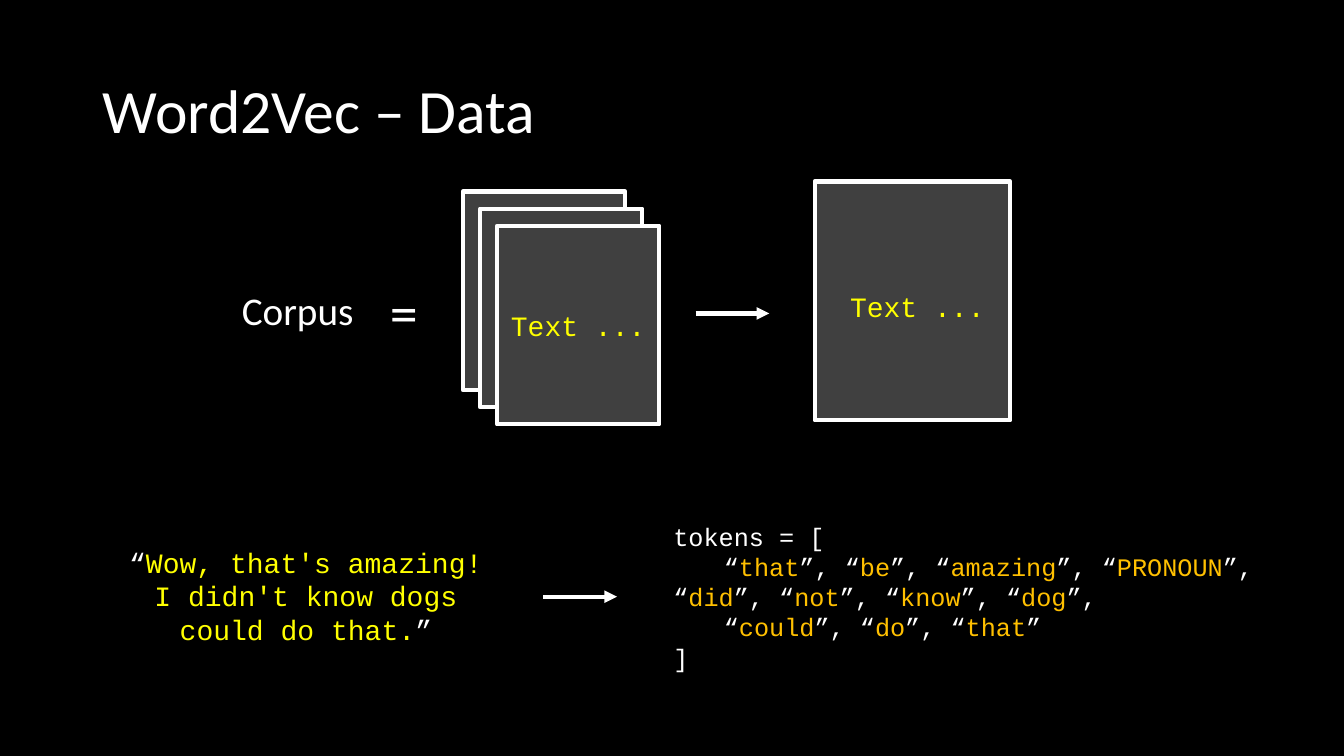
from dataclasses import dataclass

from pptx import Presentation, util as u
from pptx.dml.color import RGBColor
from pptx.enum import shapes, text
from pptx.oxml import ns
from lxml import etree

LEFT, MID = text.PP_ALIGN.LEFT, text.PP_ALIGN.CENTER


@dataclass(frozen=True)
class Theme:
    back: str = "000000"
    ink: str = "FFFFFF"
    card: str = "404040"
    quote: str = "FFFF00"
    token: str = "FFC000"
    sans: str = "Calibri"
    mono: str = "Courier New"
    head: int = 44
    sign: int = 40
    term: int = 28
    body: int = 20
    code: int = 18
    line: int = 3


def rgb(tone):
    return RGBColor.from_string(tone)


class Deck:
    def __init__(self, theme):
        self.t = theme
        self.prs = Presentation()
        self.prs.slide_width = u.Inches(13.33)
        self.prs.slide_height = u.Inches(7.5)
        self.page = self.prs.slides.add_slide(self.prs.slide_layouts[5])
        fill = self.page.background.fill
        fill.solid()
        fill.fore_color.rgb = rgb(theme.back)

    def words(self, frame, lines, size, face, tone, high=None, align=LEFT):
        """Fill a frame; parts between bars take the highlight colour."""
        frame.word_wrap = True
        for i, line in enumerate(lines):
            para = frame.paragraphs[0] if i == 0 else frame.add_paragraph()
            para.alignment = align
            para.font.size = u.Pt(size)
            para.font.name = face
            para.font.color.rgb = rgb(tone)
            for n, part in enumerate(line.split("|")):
                run = para.add_run()
                run.text = part
                if n % 2:
                    run.font.color.rgb = rgb(high)

    def title(self, line, *box):
        shape = self.page.shapes.title
        shape.left, shape.top, shape.width, shape.height = map(u.Inches, box)
        frame = shape.text_frame
        frame.auto_size = text.MSO_AUTO_SIZE.NONE
        frame.vertical_anchor = text.MSO_ANCHOR.MIDDLE
        self.words(frame, [line], self.t.head, self.t.sans, self.t.ink)
        frame.paragraphs[0].line_spacing = 0.9

    def label(self, box, lines, size, face, high=None, align=LEFT):
        shape = self.page.shapes.add_textbox(*map(u.Inches, box))
        self.words(shape.text_frame, lines, size, face, self.t.ink, high, align)

    def card(self, box, line=None, shift=0):
        shape = self.page.shapes.add_shape(
            shapes.MSO_SHAPE.RECTANGLE, *map(u.Inches, box))
        shape.shadow.inherit = False
        shape.fill.solid()
        shape.fill.fore_color.rgb = rgb(self.t.card)
        shape.line.color.rgb = rgb(self.t.ink)
        shape.line.width = u.Pt(self.t.line)
        if line:
            frame = shape.text_frame
            frame.margin_left = frame.margin_top = u.Inches(shift)
            frame.margin_right = frame.margin_bottom = 0
            frame.vertical_anchor = text.MSO_ANCHOR.MIDDLE
            self.words(frame, [line], self.t.body, self.t.mono,
                       self.t.quote, align=MID)

    def arrow(self, x, y, span=0.73):
        link = self.page.shapes.add_connector(
            shapes.MSO_CONNECTOR.STRAIGHT,
            *map(u.Inches, (x, y, x + span, y)))
        link.line.color.rgb = rgb(self.t.ink)
        link.line.width = u.Pt(self.t.line)
        props = link._element.spPr
        tip = etree.SubElement(props.find(ns.qn("a:ln")), ns.qn("a:tailEnd"))
        tip.set("type", "triangle")
        etree.SubElement(props, ns.qn("a:effectLst"))


def main():
    t = Theme()
    deck = Deck(t)
    deck.title("Word2Vec – Data", 0.92, 0.4, 11.5, 1.45)

    # Corpus: a stack of texts, then one text
    deck.label((2.3, 2.79, 1.61, 0.57), ["Corpus"], t.term, t.sans)
    deck.label((3.73, 2.7, 0.55, 0.77), ["="], t.sign, t.sans, align=MID)
    left, top, step = 4.59, 1.9, 0.17
    for i, line in enumerate((None, None, "Text ...")):
        deck.card((left + i * step, top + i * step, 1.61, 1.97), line)
    deck.arrow(6.9, 3.11)
    deck.card((8.08, 1.8, 1.94, 2.37), "Text ...", shift=0.1)

    # Sentence to tokens
    deck.label((1.15, 5.36, 3.77, 1.11),
               ["“|Wow, that's amazing! I didn't know dogs could do that.|”"],
               t.body, t.mono, t.quote, MID)
    deck.arrow(5.39, 5.92)
    deck.label((6.58, 5.12, 6.28, 1.62), [
        "tokens = [",
        "\t“|that|”, “|be|”, “|amazing|”, “|PRONOUN|”, "
        "\t“|did|”, “|not|”, “|know|”, “|dog|”,",
        "\t“|could|”, “|do|”, “|that|”",
        "]",
    ], t.code, t.mono, t.token)

    deck.prs.save("out.pptx")


if __name__ == "__main__":
    main()
